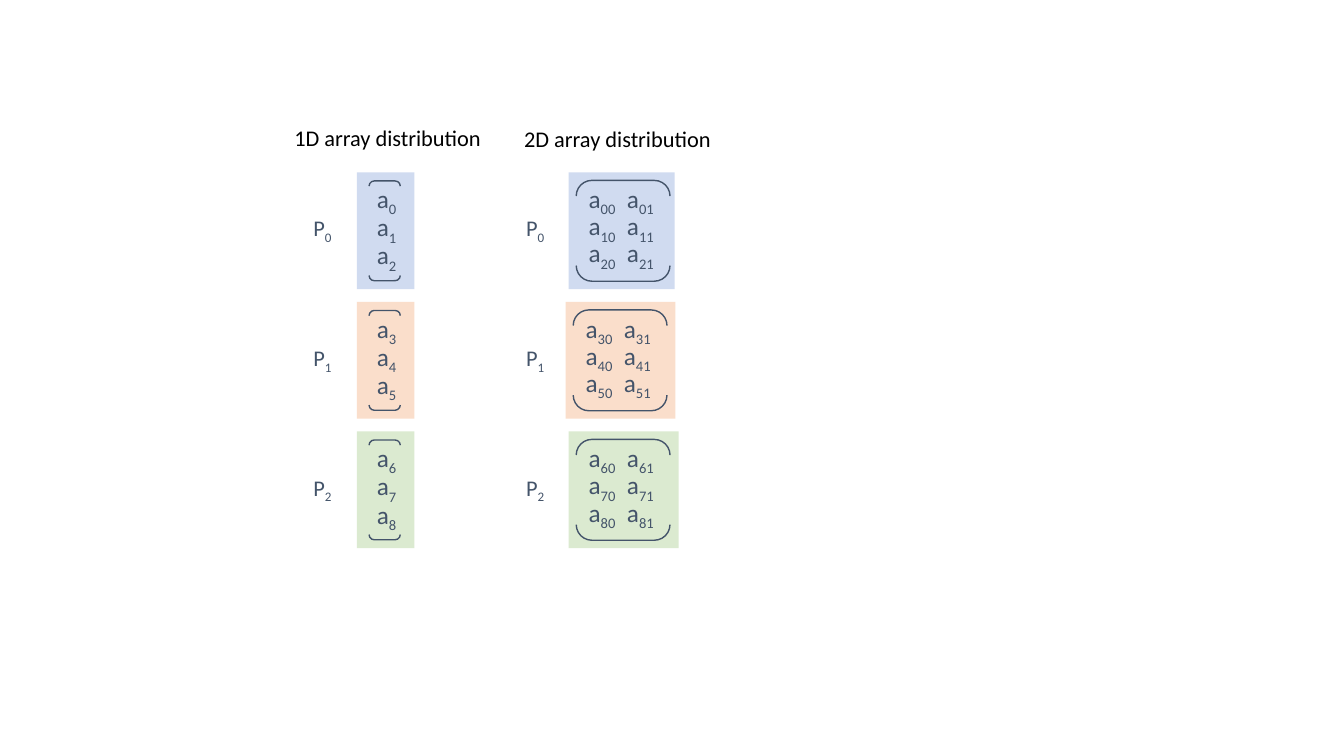
from lxml.etree import SubElement
from pptx import Presentation
from pptx.dml.color import RGBColor
from pptx.enum.shapes import MSO_SHAPE
from pptx.enum.text import MSO_AUTO_SIZE
from pptx.oxml.ns import qn
from pptx.util import Inches, Pt

THEME = {
    "font": "Calibri", "title": "000000", "ink": "44546A",
    "blocks": ["4472C4", "ED7D31", "70AD47"], "alpha": 25,
    "label_size": 16, "entry_size": 18, "line": 1,
}
PANELS = [
    {"title": "1D array distribution", "title_at": (2.82, 1.18), "label_x": 3.01,
     "lefts": [3.54, 3.54, 3.54], "widths": [0.57, 0.57, 0.57], "text_dx": 0.1, "text_w": 0.46,
     "line_step": 0.28, "bracket_dx": 0.275, "bracket": (0.99, 0.31),
     "blocks": [[["0"], ["1"], ["2"]],
                [["3"], ["4"], ["5"]],
                [["6"], ["7"], ["8"]]]},
    {"title": "2D array distribution", "title_at": (5.1, 1.19), "label_x": 5.12,
     "lefts": [5.64, 5.61, 5.64], "widths": [1.05, 1.09, 1.09], "text_dx": 0.1, "text_w": 0.99,
     "line_step": 0.27, "bracket_dx": 0.54, "bracket": (1, 0.93),
     "blocks": [[["00", "01"], ["10", "11"], ["20", "21"]],
                [["30", "31"], ["40", "41"], ["50", "51"]],
                [["60", "61"], ["70", "71"], ["80", "81"]]]},
]
TOP, PITCH, BLOCK_H = 1.71, 1.285, 1.16
LABEL_DY, TEXT_DY, COLUMN = 0.37, 0.06, 0.38

prs = Presentation()
prs.slide_width, prs.slide_height = Inches(13.33), Inches(7.5)
s = prs.slides.add_slide(prs.slide_layouts[6])


def add_text(runs, x, y, w, h, size, color, wrap=False, tab=None):
    tf = s.shapes.add_textbox(Inches(x), Inches(y), Inches(w), Inches(h)).text_frame
    tf.word_wrap = wrap
    tf.auto_size = MSO_AUTO_SIZE.SHAPE_TO_FIT_TEXT
    p = tf.paragraphs[0]
    if tab:
        tabs = SubElement(p._p.get_or_add_pPr(), qn("a:tabLst"))
        SubElement(tabs, qn("a:tab"), pos=str(Inches(tab)), algn="l")
    for text, subscript in runs:
        r = p.add_run()
        r.text = text
        r.font.name, r.font.size = THEME["font"], Pt(size)
        r.font.color.rgb = RGBColor.from_string(color)
        if subscript:
            r.font._element.set("baseline", "-25000")


def add_block(x, y, w, h, color):
    sp = s.shapes.add_shape(MSO_SHAPE.RECTANGLE, Inches(x), Inches(y), Inches(w), Inches(h))
    sp.shadow.inherit = False
    sp.line.fill.background()
    sp.fill.solid()
    sp.fill.fore_color.rgb = RGBColor.from_string(color)
    clr = sp.fill._xPr.find(qn("a:solidFill"))[0]
    SubElement(clr, qn("a:alpha"), val=str(THEME["alpha"] * 1000))


def add_bracket(cx, cy, w, h):
    sp = s.shapes.add_shape(MSO_SHAPE.DOUBLE_BRACKET, Inches(cx - w / 2), Inches(cy - h / 2),
                            Inches(w), Inches(h))
    sp.rotation = 90
    sp.shadow.inherit = False
    sp.fill.background()
    sp.line.color.rgb = RGBColor.from_string(THEME["ink"])
    sp.line.width = Pt(THEME["line"])


def entry_runs(indices):
    for col, index in enumerate(indices):
        yield ("\ta" if col else "a"), False
        yield index, True


for panel in PANELS:
    add_text([(panel["title"], False)], *panel["title_at"], 2.08, 0.37,
             size=THEME["label_size"], color=THEME["title"])
    for i, lines in enumerate(panel["blocks"]):
        x, y = panel["lefts"][i], TOP + i * PITCH
        add_block(x, y, panel["widths"][i], BLOCK_H, THEME["blocks"][i])
        add_text([("P", False), (str(i), True)], panel["label_x"], y + LABEL_DY, 0.39, 0.37,
                 size=THEME["label_size"], color=THEME["ink"])
        add_bracket(x + panel["bracket_dx"], y + BLOCK_H / 2, *panel["bracket"])
        for j, indices in enumerate(lines):
            add_text(entry_runs(indices), x + panel["text_dx"],
                     y + TEXT_DY + j * panel["line_step"], panel["text_w"], 0.4,
                     size=THEME["entry_size"], color=THEME["ink"], wrap=True,
                     tab=COLUMN if len(indices) > 1 else None)

prs.save("out.pptx")
